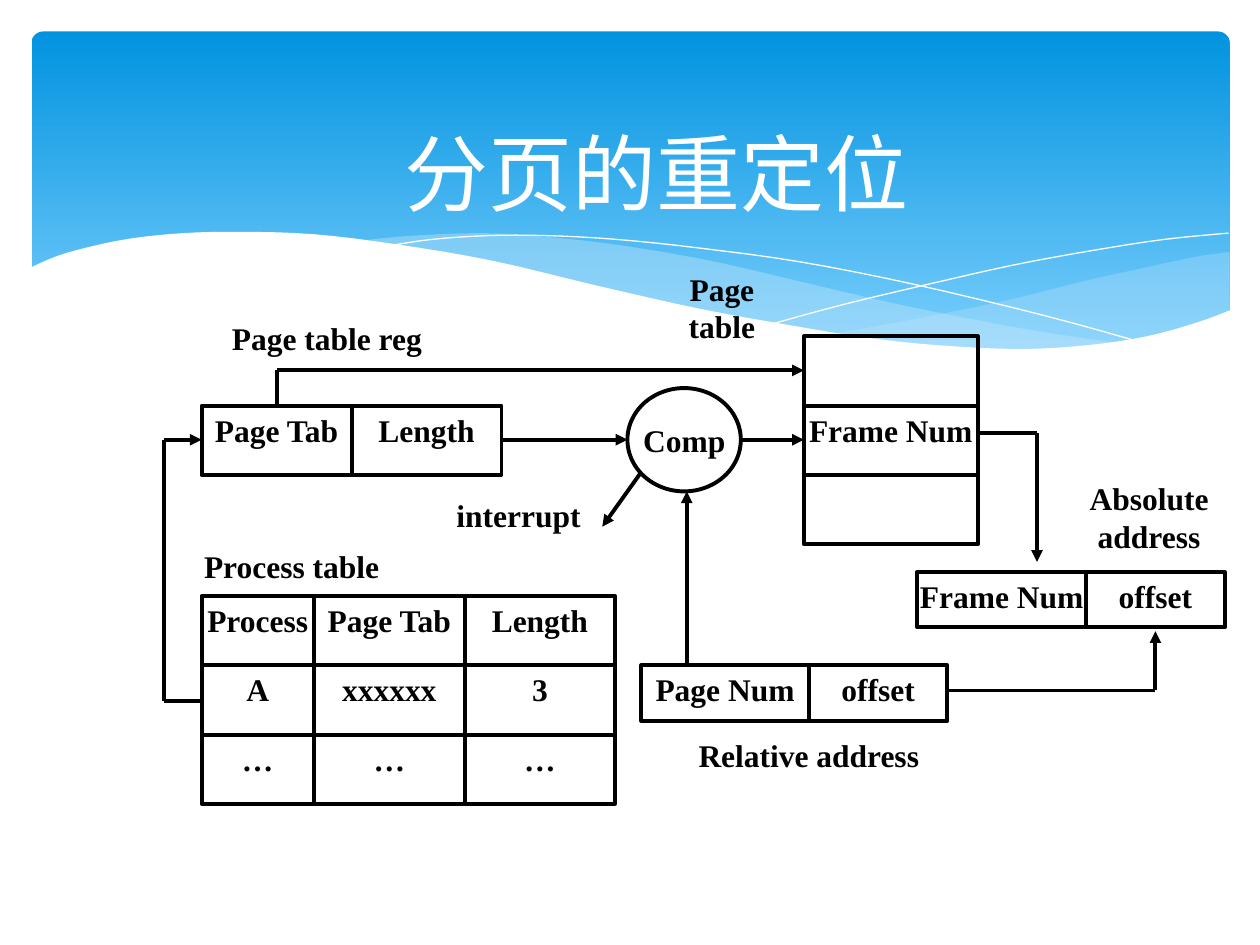
from dataclasses import dataclass

from lxml.etree import SubElement
from pptx import Presentation
from pptx.dml.color import RGBColor
from pptx.enum.shapes import MSO_CONNECTOR, MSO_SHAPE
from pptx.enum.text import MSO_ANCHOR, PP_ALIGN
from pptx.oxml.ns import qn
from pptx.util import Inches, Pt


@dataclass(frozen=True)
class Theme:
    """Colours, font and sizes of the slide."""
    ink: RGBColor = RGBColor.from_string("000000")
    paper: RGBColor = RGBColor.from_string("FFFFFF")
    sky_top: RGBColor = RGBColor.from_string("0293E0")
    sky_bottom: RGBColor = RGBColor.from_string("83D3FE")
    ribbon: RGBColor = RGBColor.from_string("C6E7FC")
    font: str = "Times New Roman"
    title_size: Pt = Pt(48)
    label_size: Pt = Pt(18)
    stroke: Pt = Pt(2.25)
    hairline: Pt = Pt(0)


def smooth(knots, steps=4):
    """Return a Catmull-Rom curve through the knots."""
    padded = [knots[0], *knots, knots[-1]]
    curve = [knots[0]]
    for a, b, c, d in zip(padded, padded[1:], padded[2:], padded[3:]):
        for step in range(1, steps + 1):
            t = step / steps
            curve.append(tuple(
                0.5 * (2 * q + (r - p) * t + (2 * p - 5 * q + 4 * r - s) * t ** 2
                       + (3 * q - p - 3 * r + s) * t ** 3)
                for p, q, r, s in zip(a, b, c, d)))
    return curve


class DiagramSlide:
    """Draws styled elements on one slide."""

    def __init__(self, slide, theme):
        self.slide = slide
        self.shapes = slide.shapes
        self.theme = theme

    def set_text(self, frame, lines, size, color, bold=True, anchor=MSO_ANCHOR.TOP):
        """Fill a text frame with centred paragraphs."""
        frame.word_wrap = True
        frame.vertical_anchor = anchor
        frame.text = "\n".join(lines)
        for paragraph in frame.paragraphs:
            paragraph.alignment = PP_ALIGN.CENTER
            paragraph.font.name = self.theme.font
            paragraph.font.size = size
            paragraph.font.bold = bold
            paragraph.font.color.rgb = color

    def set_label(self, frame, *lines):
        """Set diagram text with narrow margins."""
        frame.margin_left = frame.margin_right = 0
        frame.margin_top = frame.margin_bottom = Inches(0.04)
        self.set_text(frame, lines, self.theme.label_size, self.theme.ink)

    def title(self, text, left, top, width, height):
        """Place the title in front of the backdrop."""
        title = self.shapes.title
        title.left, title.top = Inches(left), Inches(top)
        title.width, title.height = Inches(width), Inches(height)
        self.set_text(title.text_frame, [text], self.theme.title_size,
                      self.theme.paper, False, MSO_ANCHOR.MIDDLE)
        title.element.getparent().append(title.element)

    def sky(self, left, top, width, height):
        """Draw the rounded gradient panel."""
        panel = self.shapes.add_shape(
            MSO_SHAPE.ROUNDED_RECTANGLE, Inches(left), Inches(top), Inches(width), Inches(height))
        panel.adjustments[0] = 0.034
        panel.shadow.inherit = False
        panel.line.fill.background()
        panel.fill.gradient()
        panel.fill.gradient_angle = 270
        colors = (self.theme.sky_top, self.theme.sky_bottom)
        for stop, color, position in zip(panel.fill.gradient_stops, colors, (0, 1)):
            stop.color.rgb = color
            stop.position = position

    def freeform(self, points, close):
        """Build an outline through the points."""
        start, *rest = [(Inches(x), Inches(y)) for x, y in points]
        builder = self.shapes.build_freeform(*start, scale=1.0)
        builder.add_line_segments(rest, close=close)
        shape = builder.convert_to_shape()
        shape.shadow.inherit = False
        return shape

    def wave(self, points, color, opacity=100):
        """Draw a filled wave."""
        shape = self.freeform(points, True)
        shape.line.fill.background()
        shape.fill.solid()
        shape.fill.fore_color.rgb = color
        if opacity < 100:
            fill_color = shape.element.spPr.find(qn("a:solidFill")).find(qn("a:srgbClr"))
            SubElement(fill_color, qn("a:alpha"), val=str(opacity * 1000))

    def thread(self, points):
        """Draw a thin open curve."""
        shape = self.freeform(points, False)
        shape.fill.background()
        shape.line.color.rgb = self.theme.paper
        shape.line.width = self.theme.hairline

    def outline(self, left, top, width, height, text="", kind=MSO_SHAPE.RECTANGLE):
        """Draw an unfilled shape with optional text."""
        shape = self.shapes.add_shape(
            kind, Inches(left), Inches(top), Inches(width), Inches(height))
        shape.shadow.inherit = False
        shape.fill.background()
        shape.line.color.rgb = self.theme.ink
        shape.line.width = self.theme.stroke
        if text:
            self.set_label(shape.text_frame, text)

    def grid(self, left, top, widths, height, rows):
        """Draw rows of adjoining cells."""
        for row, texts in enumerate(rows):
            for column, (width, text) in enumerate(zip(widths, texts)):
                self.outline(left + sum(widths[:column]), top + row * height,
                             width, height, text)

    def label(self, left, top, width, height, *lines):
        """Add a text label."""
        box = self.shapes.add_textbox(Inches(left), Inches(top), Inches(width), Inches(height))
        self.set_label(box.text_frame, *lines)

    def route(self, *points):
        """Join the points with lines that end in an arrowhead."""
        for start, end in zip(points, points[1:]):
            connector = self.shapes.add_connector(
                MSO_CONNECTOR.STRAIGHT, *[Inches(value) for value in (*start, *end)])
            connector.line.color.rgb = self.theme.ink
            connector.line.width = self.theme.stroke
            properties = connector.element.spPr
            if end == points[-1]:
                SubElement(properties.find(qn("a:ln")), qn("a:tailEnd"), type="triangle")
            SubElement(properties, qn("a:effectLst"))


def draw_backdrop(diagram):
    """Draw the sky and its waves."""
    theme = diagram.theme
    diagram.sky(0.25, 0.25, 9.51, 2.7)
    right_top = [(6.61, 2.65), (7.06, 2.57), (7.53, 2.48), (8.05, 2.37), (8.61, 2.23),
                 (9.06, 2.13), (9.48, 2.04), (9.76, 2)]
    right_bottom = [(9.76, 2.47), (9.49, 2.57), (9.21, 2.65), (8.89, 2.72), (8.54, 2.76),
                    (8.14, 2.78), (7.69, 2.77), (7.18, 2.73), (6.61, 2.65)]
    diagram.wave(smooth(right_top) + smooth(right_bottom), theme.ribbon, 29)
    middle_top = [(8.93, 2.73), (8.37, 2.65), (7.75, 2.54), (7.06, 2.4), (6.29, 2.22),
                  (5.69, 2.08), (5.14, 1.98), (4.64, 1.91), (4.2, 1.87), (3.8, 1.85),
                  (3.28, 1.87), (2.86, 1.91)]
    middle_bottom = [(2.86, 1.91), (3.42, 1.99), (4.04, 2.11), (4.91, 2.32), (5.66, 2.48),
                     (6.34, 2.61), (6.95, 2.7), (7.48, 2.76), (7.96, 2.79), (8.48, 2.78),
                     (8.93, 2.73)]
    diagram.wave(smooth(middle_top) + smooth(middle_bottom), theme.ribbon, 40)
    diagram.thread(smooth([(3.09, 1.95), (3.43, 1.9), (3.87, 1.87), (4.33, 1.87),
                           (4.89, 1.9), (5.56, 1.97), (6.36, 2.08), (7.27, 2.26),
                           (8.31, 2.51), (9.07, 2.72)]))
    diagram.thread(smooth([(6.13, 2.57), (6.72, 2.41), (7.48, 2.23), (8.06, 2.1),
                           (8.66, 1.99), (9.24, 1.9), (9.75, 1.85)]))
    crest = [(0.23, 2.13), (0.46, 2.03), (0.75, 1.95), (1.06, 1.89), (1.46, 1.85),
             (1.93, 1.84), (2.5, 1.86), (3.15, 1.94), (3.91, 2.07), (4.75, 2.27),
             (5.55, 2.45), (6.26, 2.58), (6.88, 2.68), (7.44, 2.74), (8.09, 2.77),
             (8.63, 2.74), (9.1, 2.67), (9.5, 2.56), (9.77, 2.46)]
    diagram.wave(smooth(crest) + [(9.77, 3.29), (0.23, 3.29)], theme.paper)


def draw_diagram(diagram):
    """Draw the paging registers, tables and address routes."""
    diagram.grid(1.6, 3.22, [1.19, 1.19], 0.55, [["Page Tab", "Length"]])
    diagram.grid(1.6, 4.73, [0.89, 1.2, 1.19], 0.55, [
        ["Process", "Page Tab", "Length"], ["A", "xxxxxx", "3"], ["…", "…", "…"]])
    diagram.grid(6.38, 2.67, [1.38], 0.55, [[""], ["Frame Num"], [""]])
    diagram.grid(5.09, 5.28, [1.33, 1.1], 0.44, [["Page Num", "offset"]])
    diagram.grid(7.28, 4.54, [1.34, 1.1], 0.44, [["Frame Num", "offset"]])
    diagram.outline(4.98, 3.08, 0.9, 0.82, kind=MSO_SHAPE.OVAL)
    diagram.label(5.07, 3.3, 0.72, 0.42, "Comp")
    diagram.label(1.6, 4.3, 1.43, 0.28, "Process table")
    diagram.label(5.28, 2.1, 0.9, 0.79, "Page table")
    diagram.label(1.6, 2.49, 1.99, 0.31, "Page table reg")
    diagram.label(5.16, 5.8, 2.52, 0.39, "Relative address")
    diagram.label(3.54, 3.9, 1.15, 0.55, "interrupt")
    diagram.label(8.39, 3.76, 1.46, 0.55, "Absolute", "address")
    diagram.route((5.45, 5.28), (5.45, 3.9))
    diagram.route((3.99, 3.49), (4.98, 3.49))
    diagram.route((5.88, 3.49), (6.38, 3.49))
    diagram.route((5.08, 3.76), (4.78, 4.18))
    diagram.route((7.76, 3.44), (8.23, 3.44), (8.23, 4.46))
    diagram.route((7.52, 5.48), (9.17, 5.48), (9.17, 5.01))
    diagram.route((2.2, 3.22), (2.2, 2.94), (6.38, 2.94))
    diagram.route((1.6, 5.56), (1.3, 5.56), (1.3, 3.49), (1.6, 3.49))


def main():
    """Build and save the slide."""
    presentation = Presentation()
    presentation.slide_width, presentation.slide_height = Inches(10), Inches(7.5)
    slide = presentation.slides.add_slide(presentation.slide_layouts[5])
    diagram = DiagramSlide(slide, Theme())
    draw_backdrop(diagram)
    diagram.title("分页的重定位", 0.92, 0.9, 8.58, 0.93)
    draw_diagram(diagram)
    presentation.save("out.pptx")


if __name__ == "__main__":
    main()
